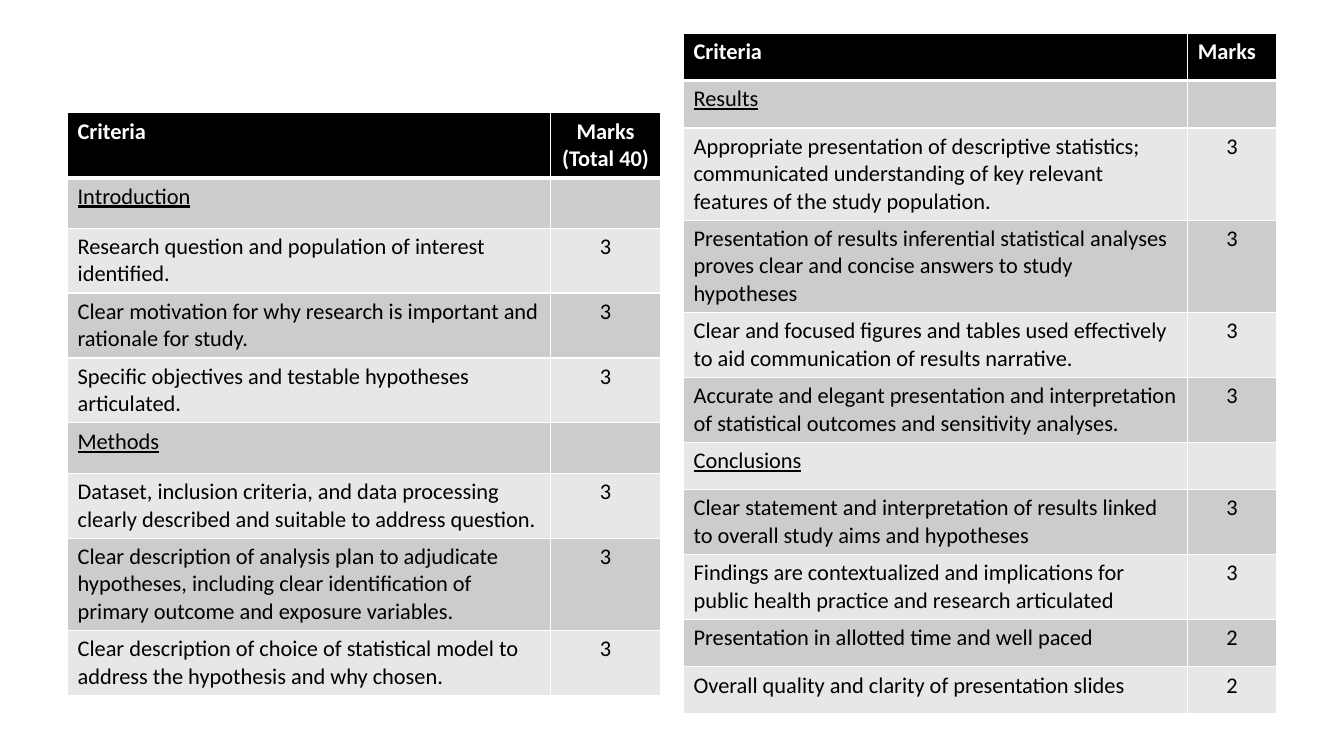
from lxml import etree
from pptx import Presentation
from pptx import util as u
from pptx.dml.color import RGBColor
from pptx.enum import text
from pptx.oxml import ns

HUES = {"head": "000000", "dark": "CCCCCC", "light": "E7E7E7",
        "ink": "000000", "white": "FFFFFF"}
FONT, SIZE = "Calibri", 16
WIDE, HIGH = 13.33, 7.5

# Each row is (criterion, mark); a row without a mark is a section name
LEFT = [
    ("Introduction", ""),
    ("Research question and population of interest identified.", "3"),
    ("Clear motivation for why research is important and rationale for study.", "3"),
    ("Specific objectives and testable hypotheses articulated.", "3"),
    ("Methods", ""),
    ("Dataset, inclusion criteria, and data processing clearly described "
     "and suitable to address question.", "3"),
    ("Clear description of analysis plan to adjudicate hypotheses, including "
     "clear identification of primary outcome and exposure variables.", "3"),
    ("Clear description of choice of statistical model to address the "
     "hypothesis and why chosen.", "3"),
]
RIGHT = [
    ("Results", ""),
    ("Appropriate presentation of descriptive statistics; communicated "
     "understanding of key relevant features of the study population.", "3"),
    ("Presentation of results inferential statistical analyses proves clear "
     "and concise answers to study hypotheses", "3"),
    ("Clear and focused figures and tables used effectively to aid "
     "communication of results narrative.", "3"),
    ("Accurate and elegant presentation and interpretation of statistical "
     "outcomes and sensitivity analyses.", "3"),
    ("Conclusions", ""),
    ("Clear statement and interpretation of results linked to overall study "
     "aims and hypotheses", "3"),
    ("Findings are contextualized and implications for public health practice "
     "and research articulated", "3"),
    ("Presentation in allotted time and well paced", "2"),
    ("Overall quality and clarity of presentation slides", "2"),
]


def write(frame, words, hue="ink", bold=False, line=False, mid=False):
    """Fill a text frame, one paragraph per line of words."""
    frame.text = words
    for para in frame.paragraphs:
        para.alignment = text.PP_ALIGN.CENTER if mid else text.PP_ALIGN.LEFT
        for run in para.runs:
            font = run.font
            font.name, font.size = FONT, u.Pt(SIZE)
            font.bold, font.underline = bold, line
            font.color.rgb = RGBColor.from_string(HUES[hue])


def edge(cell, sides):
    """Draw white borders; sides maps L, R, T, B to widths in points."""
    props = cell._tc.get_or_add_tcPr()
    for side, width in sides.items():
        ln = etree.SubElement(props, ns.qn(f"a:ln{side}"), w=str(u.Pt(width)))
        fill = etree.SubElement(ln, ns.qn("a:solidFill"))
        etree.SubElement(fill, ns.qn("a:srgbClr"), val=HUES["white"])


def paint(cell, hue):
    cell.fill.solid()
    cell.fill.fore_color.rgb = RGBColor.from_string(HUES[hue])


def rubric(slide, box, cols, high, marks, mid, rows):
    """Place a marking table with its top left corner and width from box."""
    left, top, width = box
    grid = slide.shapes.add_table(
        len(rows) + 1, 2, u.Inches(left), u.Inches(top),
        u.Inches(width), u.Inches(high * (len(rows) + 1))).table
    for col, share in zip(grid.columns, cols):
        col.width = u.Inches(width * share / sum(cols))
    for row in grid.rows:
        row.height = u.Inches(high)

    # Header row
    for c, words in enumerate(("Criteria", marks)):
        cell = grid.cell(0, c)
        edge(cell, {"L": 1, "R": 1, "T": 1, "B": 3})
        paint(cell, "head")
        write(cell.text_frame, words, hue="white", bold=True, mid=mid and c == 1)

    # Banded body rows
    for r, (name, mark) in enumerate(rows, 1):
        for c, words in enumerate((name, mark)):
            cell = grid.cell(r, c)
            edge(cell, {"L": 1, "R": 1, "B": 1})
            paint(cell, "dark" if r % 2 else "light")
            if words:
                write(cell.text_frame, words, line=not mark, mid=c == 1)


def main():
    deck = Presentation()
    deck.slide_width, deck.slide_height = u.Inches(WIDE), u.Inches(HIGH)
    slide = deck.slides.add_slide(deck.slide_layouts[6])
    rubric(slide, (0.67, 1.12, 5.88), (4.8, 1.09), 0.5,
           "Marks\n(Total 40)", True, LEFT)
    rubric(slide, (6.78, 0.33, 5.88), (5, 0.88), 0.47, "Marks", False, RIGHT)
    deck.save("out.pptx")


if __name__ == "__main__":
    main()
